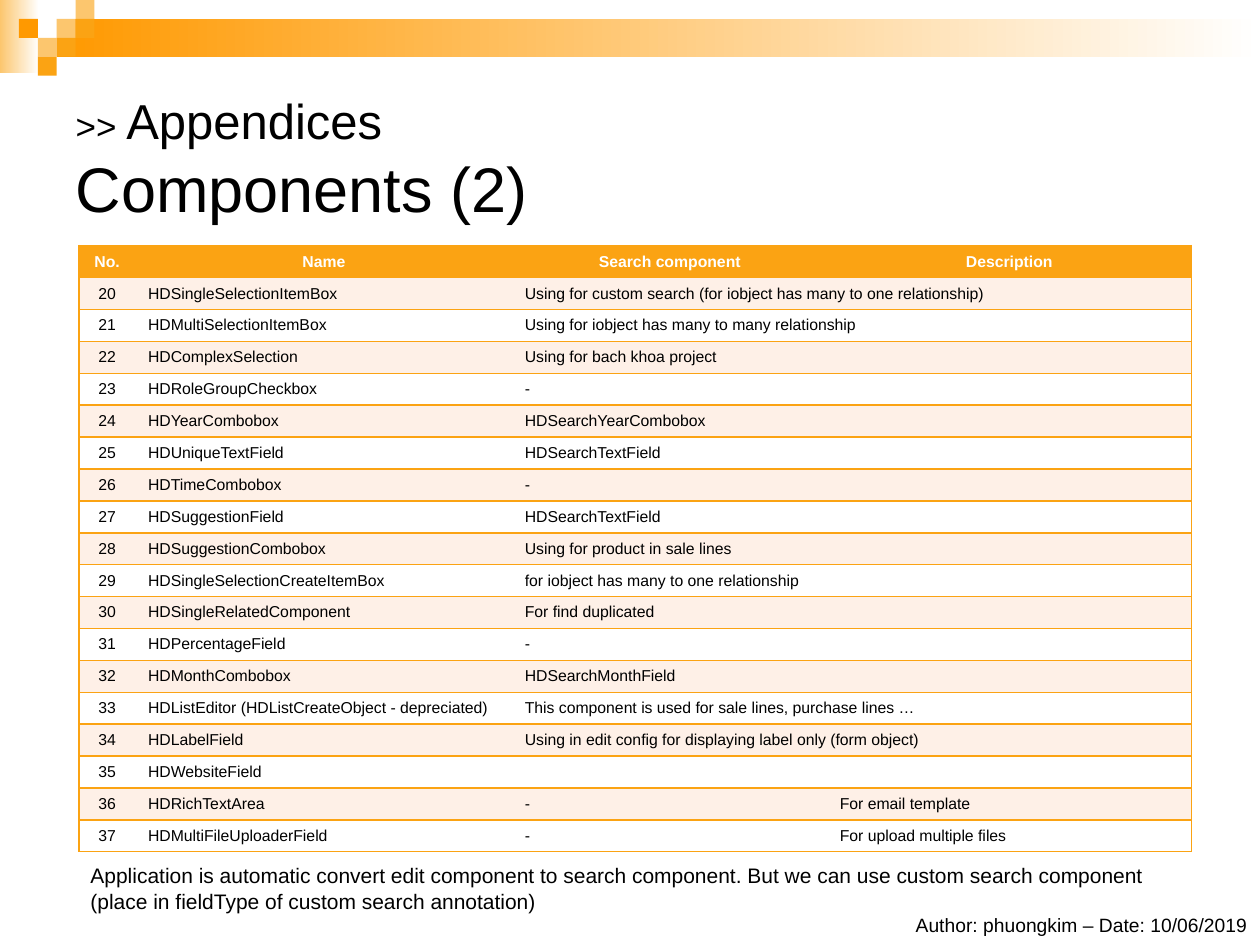
from dataclasses import dataclass

from lxml import etree
from pptx import Presentation
from pptx.dml.color import RGBColor
from pptx.enum.shapes import MSO_SHAPE
from pptx.enum.text import MSO_ANCHOR, MSO_AUTO_SIZE, PP_ALIGN
from pptx.oxml.ns import qn
from pptx.util import Pt

RECT = MSO_SHAPE.RECTANGLE
MIDDLE = MSO_ANCHOR.MIDDLE
LEFT, CENTER, RIGHT = PP_ALIGN.LEFT, PP_ALIGN.CENTER, PP_ALIGN.RIGHT
NO_FIT = MSO_AUTO_SIZE.NONE


@dataclass(frozen=True)
class Theme:
    """Colours, font and type sizes of the slide."""
    font: str = "Arial"
    ink: str = "000000"
    paper: str = "FFFFFF"
    accent: str = "FBA313"
    bright: str = "FF9900"
    soft: str = "FCC66E"
    band: str = "FEF0E7"
    marker: int = 20
    section: int = 28
    title: int = 36
    cell: int = 9
    note: int = 12
    footer: int = 11
    border: int = 1


T = Theme()
HEADER = ("No.", "Name", "Search component", "Description")
FIRST_NO = 20
ROWS = [
    ("HDSingleSelectionItemBox", "Using for custom search (for iobject has many to one relationship)"),
    ("HDMultiSelectionItemBox", "Using for iobject has many to many relationship"),
    ("HDComplexSelection", "Using for bach khoa project"),
    ("HDRoleGroupCheckbox", "-"),
    ("HDYearCombobox", "HDSearchYearCombobox"),
    ("HDUniqueTextField", "HDSearchTextField"),
    ("HDTimeCombobox", "-"),
    ("HDSuggestionField", "HDSearchTextField"),
    ("HDSuggestionCombobox", "Using for product in sale lines"),
    ("HDSingleSelectionCreateItemBox", "for iobject has many to one relationship"),
    ("HDSingleRelatedComponent", "For find duplicated"),
    ("HDPercentageField", "-"),
    ("HDMonthCombobox", "HDSearchMonthField"),
    ("HDListEditor (HDListCreateObject - depreciated)", "This component is used for sale lines, purchase lines …"),
    ("HDLabelField", "Using in edit config for displaying label only (form object)"),
    ("HDWebsiteField", ""),
    ("HDRichTextArea", "-", "For email template"),
    ("HDMultiFileUploaderField", "-", "For upload multiple files"),
]
MERGED = {20, 21, 33, 34}
COL_WIDTHS = (32.4, 215.3, 180, 208.1)
NOTE = ("Application is automatic convert edit component to search component. "
        "But we can use custom search component (place in fieldType of custom search annotation)")


def add_text(p, text, *, size, color=T.ink, bold=False, align=LEFT):
    """Add a formatted run to a paragraph."""
    p.alignment = align
    r = p.add_run()
    r.text = text
    r.font.name, r.font.size, r.font.bold = T.font, Pt(size), bold
    r.font.color.rgb = RGBColor.from_string(color)


def add_rect(s, box, color, fade=False):
    """Add a borderless rectangle, plain or fading to the paper colour."""
    sp = s.shapes.add_shape(RECT, *map(Pt, box))
    sp.shadow.inherit = False
    sp.line.fill.background()
    if fade:
        sp.fill.gradient()
        sp.fill.gradient_angle = 0
        for stop, stop_color in zip(sp.fill.gradient_stops, (color, T.paper)):
            stop.color.rgb = RGBColor.from_string(stop_color)
    else:
        sp.fill.solid()
        sp.fill.fore_color.rgb = RGBColor.from_string(color)


def add_banner(s, box):
    """Draw the fading bars and the checker squares at the top."""
    x, y, w, h = box
    unit = h / 4
    add_rect(s, (x, y, 22.3, 41.8), T.soft, fade=True)
    add_rect(s, (x + 3 * unit, y + unit, w - 3 * unit, 2 * unit - 2 + 2), T.bright, fade=True)
    squares = ((3, 1, T.soft), (4, 0, T.soft), (4, 1, T.accent), (2, 2, T.soft),
               (1, 1, T.bright), (3, 2, T.accent), (2, 3, T.accent))
    for col, row, color in squares:
        add_rect(s, (x + col * unit, y + row * unit, unit, unit), color)


def add_title(s, box):
    """Place and fill the title placeholder."""
    sp = s.shapes.title
    sp.left, sp.top, sp.width, sp.height = map(Pt, box)
    tf = sp.text_frame
    tf.auto_size, tf.vertical_anchor = NO_FIT, MIDDLE
    p = tf.paragraphs[0]
    add_text(p, ">> ", size=T.marker)
    add_text(p, "Appendices ", size=T.section)
    p.add_line_break()
    etree.SubElement(p._p[-1], qn("a:rPr"), sz=str(T.section * 100))
    add_text(p, "Components (2)", size=T.title)


def set_borders(cell, **sides):
    """Set the cell borders, where a side without a colour has no line."""
    tc_pr = cell._tc.get_or_add_tcPr()
    for i, (side, color) in enumerate(sides.items()):
        ln = etree.Element(qn(f"a:ln{side}"), w=str(Pt(T.border)))
        fill = etree.SubElement(ln, qn("a:solidFill" if color else "a:noFill"))
        if color:
            etree.SubElement(fill, qn("a:srgbClr"), val=color)
        tc_pr.insert(i, ln)


def fill_cell(cell, text, fill, narrow, **fmt):
    """Fill one table cell with its text and background."""
    cell.fill.solid()
    cell.fill.fore_color.rgb = RGBColor.from_string(fill)
    cell.vertical_anchor = MIDDLE
    if narrow:
        cell.margin_left = cell.margin_right = Pt(2.9)
    p = cell.text_frame.paragraphs[0]
    if text:
        add_text(p, text, size=T.cell, **fmt)
    else:
        p._p.get_or_add_endParaRPr().set("sz", str(T.cell * 100))


def add_component_table(s, box):
    """Build the table of components."""
    rows = [HEADER] + [(str(no), *row) for no, row in enumerate(ROWS, FIRST_NO)]
    last = len(HEADER) - 1
    table = s.shapes.add_table(len(rows), len(HEADER), *map(Pt, box)).table
    table.first_row = table.horz_banding = False
    for col, width in zip(table.columns, COL_WIDTHS):
        col.width = Pt(width)
    for i, row in enumerate(rows):
        table.rows[i].height = Pt(box[3] / len(rows))
        fill = T.accent if i == 0 else T.band if i % 2 else T.paper
        for j in range(len(HEADER)):
            cell = table.cell(i, j)
            fill_cell(cell, row[j] if j < len(row) else "", fill, j == 0,
                      color=T.ink if i else T.paper, bold=i == 0,
                      align=LEFT if i and j else CENTER)
            merged = i > 0 and int(row[0]) in MERGED
            set_borders(cell, L=None if j else T.accent,
                        R=T.accent if j == last or (merged and j == last - 1) else None,
                        T=T.accent, B=T.accent)
        if merged:
            table.cell(i, last - 1).merge(table.cell(i, last))


def add_note(s, box, text, **fmt):
    """Add a wrapped text box with one paragraph."""
    tf = s.shapes.add_textbox(*map(Pt, box)).text_frame
    tf.word_wrap = True
    add_text(tf.paragraphs[0], text, **fmt)


def main():
    """Build the slide and save it."""
    prs = Presentation()
    prs.slide_width, prs.slide_height = Pt(720), Pt(540)
    s = prs.slides.add_slide(prs.slide_layouts[5])
    add_banner(s, (0, 0, 720, 43.2))
    add_title(s, (36, 36, 648, 108))
    add_note(s, (366, 518.4, 354, 20.9), "Author: phuongkim – Date: 10/06/2019",
             size=T.footer, align=RIGHT)
    add_component_table(s, (45, 140.4, 635.8, 346.4))
    add_note(s, (44.6, 489.6, 641.5, 36), NOTE, size=T.note)
    prs.save("out.pptx")


if __name__ == "__main__":
    main()
